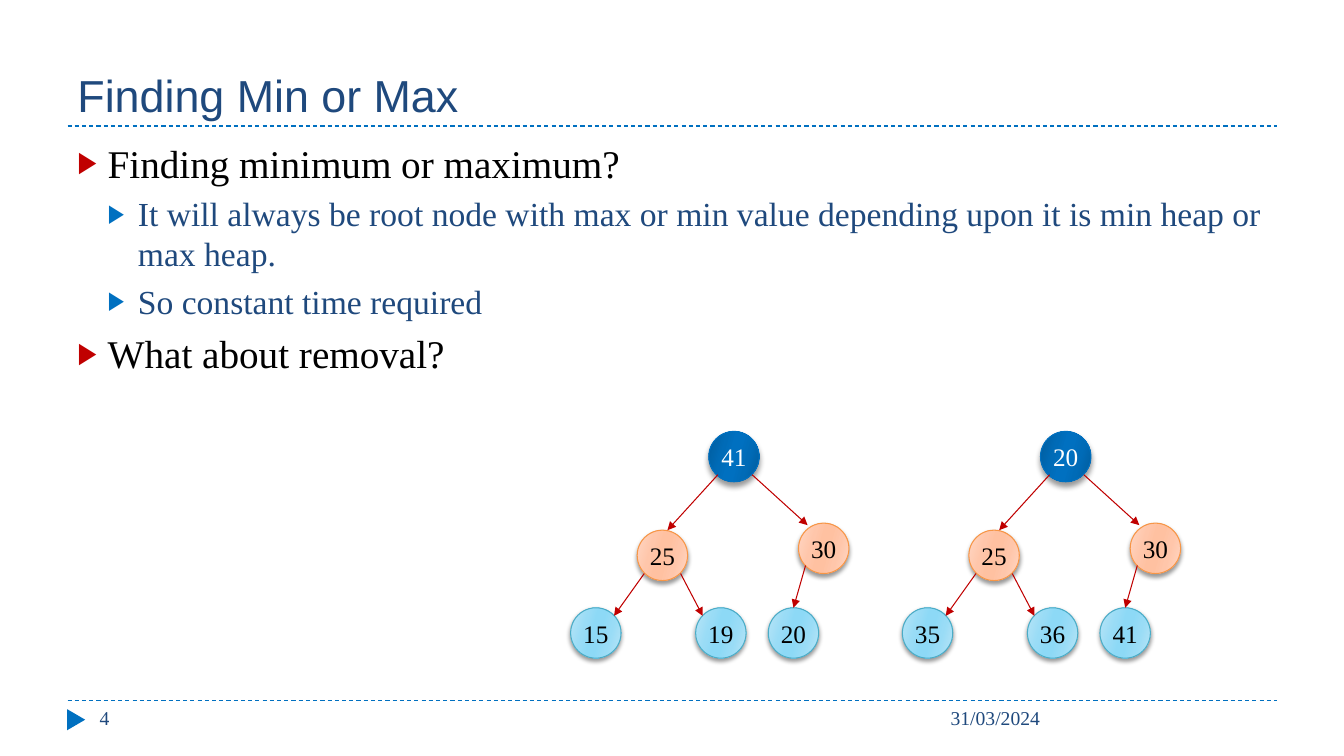
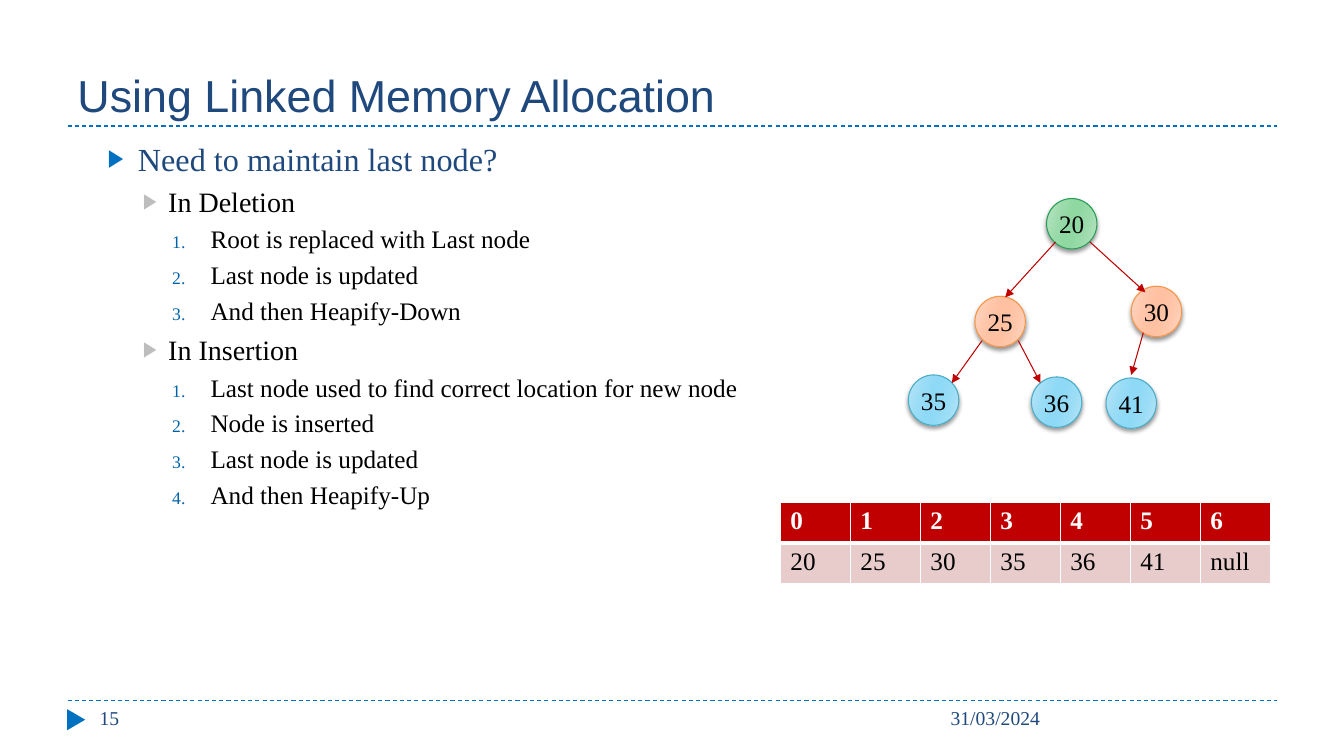
from lxml import etree
from pptx import Presentation
from pptx.dml.color import RGBColor
from pptx.enum.dml import MSO_LINE
from pptx.enum.shapes import MSO_CONNECTOR, MSO_SHAPE
from pptx.enum.text import MSO_ANCHOR, PP_ALIGN
from pptx.oxml.ns import qn
from pptx.util import Inches, Pt

STRAIGHT = MSO_CONNECTOR.STRAIGHT
ELLIPSE = MSO_SHAPE.OVAL
TRIANGLE = MSO_SHAPE.ISOSCELES_TRIANGLE
DASH = MSO_LINE.DASH
TOP, MIDDLE, BOTTOM = MSO_ANCHOR.TOP, MSO_ANCHOR.MIDDLE, MSO_ANCHOR.BOTTOM
LEFT, CENTER = PP_ALIGN.LEFT, PP_ALIGN.CENTER

COLORS = {
    "blue": "0070C0", "navy": "1F497D", "red": "C00000", "black": "000000",
    "white": "FFFFFF", "grey": "BDBDBD", "number": "0063A9", "pink": "E8CCCC",
    "orange line": "F79646", "cyan line": "4BACC6", "green line": "279D57",
}
HEADING_FONT = "Arial"
BODY_FONT = "Times New Roman"
NODE_SIZE = 0.5

NODE_STYLES = {
    "blue": (("005C9D", "006BB7", "0070C0"), "blue", "white", 4, 3.4),
    "green": (("BBE4C5", "9BDBAB", "8FD8A1"), "green line", "black", 3, 2),
    "orange": (("FFD7C5", "FFC6AA", "FFC1A1"), "orange line", "black", 3, 2),
    "cyan": (("B9E5F7", "99DCF6", "8DD9F6"), "cyan line", "black", 3, 2),
}

LEVELS = {
    "main": (0, 0.3, -0.3, 6, "▶", "red", 76, 28, "black"),
    "point": (1, 0.6, -0.3, 5, "▶", "blue", 76, 24, "navy"),
    "small point": (1, 0.6, -0.3, 5, "▶", "blue", 76, 23, "navy"),
    "topic": (2, 0.9, -0.25, 5, "▶", "grey", 76, 20, "black"),
    "step": (3, 1.32, -0.38, 4, None, "number", 70, 18, "black"),
}

EVEN_TREE = [(0, 0), (-0.71, 0.98), (0.89, 0.91),
             (-1.37, 1.75), (-0.13, 1.75), (0.59, 1.75)]
LOOSE_TREE = [(0, 0), (-0.71, 0.97), (0.84, 0.87),
              (-1.37, 1.75), (-0.15, 1.77), (0.59, 1.78)]
TREE_ARROWS = [
    ((0.09, 0.43), (-0.41, 0.98)),
    ((0.43, 0.43), (0.98, 0.93)),
    ((-0.64, 1.41), (-0.94, 1.83)),
    ((-0.28, 1.41), (-0.06, 1.83)),
    ((0.96, 1.33), (0.84, 1.75)),
]


def color(name):
    return RGBColor.from_string(COLORS[name])


def add_xml(parent, tag, **attributes):
    values = {key: str(value) for key, value in attributes.items()}
    return etree.SubElement(parent, qn(tag), values)


class SlideBuilder:
    def __init__(self):
        self.deck = Presentation()
        self.deck.slide_width = Inches(13.33)
        self.deck.slide_height = Inches(7.5)
        self.page = None

    def start_page(self, title, number):
        self.page = self.deck.slides.add_slide(self.deck.slide_layouts[6])
        for height in (6.95, 1.25):
            self.line((0.67, height), (12.67, height), "blue").line.dash_style = DASH
        marker = self.shape(TRIANGLE, 0.65, 7.05, 0.21, 0.18)
        marker.rotation = 90
        marker.fill.solid()
        marker.fill.fore_color.rgb = color("blue")
        marker.line.fill.background()
        self.text(title, (0.67, 0.17, 12, 1.08), 32, HEADING_FONT, BOTTOM)
        self.text("31/03/2024", (9.33, 6.95, 3.34, 0.4), 14)
        self.text(number, (0.89, 6.95, 2.89, 0.4), 14)

    def shape(self, kind, left, top, width, height):
        shape = self.page.shapes.add_shape(
            kind, Inches(left), Inches(top), Inches(width), Inches(height))
        shape.shadow.inherit = False
        return shape

    def line(self, start, end, line_color, arrow=False):
        points = [Inches(value) for value in (*start, *end)]
        connector = self.page.shapes.add_connector(STRAIGHT, *points)
        connector.line.color.rgb = color(line_color)
        connector.line.width = Pt(0.75)
        properties = connector._element.spPr
        if arrow:
            add_xml(properties.find(qn("a:ln")), "a:tailEnd", type="triangle")
        add_xml(properties, "a:effectLst")
        return connector

    def text_box(self, place, anchor=TOP):
        box = self.page.shapes.add_textbox(*[Inches(value) for value in place])
        box.text_frame.word_wrap = True
        box.text_frame.vertical_anchor = anchor
        return box.text_frame

    def set_text(self, para, text, size, text_color, font=BODY_FONT, bold=False):
        para.text = text
        para.font.name = font
        para.font.size = Pt(size)
        para.font.bold = bold
        para.font.color.rgb = color(text_color)

    def text(self, text, place, size, font=BODY_FONT, anchor=TOP):
        frame = self.text_box(place, anchor)
        self.set_text(frame.paragraphs[0], text, size, "navy", font)

    def body(self, items):
        frame = self.text_box((0.67, 1.33, 12, 5.4))
        for index, (kind, text) in enumerate(items):
            para = frame.add_paragraph() if index else frame.paragraphs[0]
            self.bullet(para, kind, text)

    def bullet(self, para, kind, text):
        level, margin, indent, space, mark, mark_color, percent, size, ink = LEVELS[kind]
        para.level = level
        para.alignment = LEFT
        para.space_before = Pt(space)
        properties = para._p.get_or_add_pPr()
        properties.set("marL", str(Inches(margin)))
        properties.set("indent", str(Inches(indent)))
        tint = add_xml(properties, "a:buClr")
        add_xml(tint, "a:srgbClr", val=COLORS[mark_color])
        add_xml(properties, "a:buSzPct", val=percent * 1000)
        add_xml(properties, "a:buFont", typeface=HEADING_FONT if mark else BODY_FONT)
        if mark:
            add_xml(properties, "a:buChar", char=mark)
        else:
            add_xml(properties, "a:buAutoNum", type="arabicPeriod")
        self.set_text(para, text, size, ink)

    def node(self, text, left, top, style):
        shades, outline, ink, blur, distance = NODE_STYLES[style]
        shape = self.shape(ELLIPSE, left, top, NODE_SIZE, NODE_SIZE)
        shape.fill.gradient()
        shape.fill.gradient_angle = 344
        properties = shape._element.spPr
        stops = properties.find(".//" + qn("a:gsLst"))
        for stop in list(stops):
            stops.remove(stop)
        for position, shade in zip((0, 30, 45, 55, 73, 100), shades + shades[::-1]):
            stop = add_xml(stops, "a:gs", pos=position * 1000)
            add_xml(stop, "a:srgbClr", val=shade)
        shape.line.color.rgb = color(outline)
        shape.line.width = Pt(0.75)
        shadow = add_xml(properties.find(qn("a:effectLst")), "a:outerShdw",
                         blurRad=Pt(blur), dist=Pt(distance), dir=90 * 60000,
                         rotWithShape=0)
        tint = add_xml(shadow, "a:srgbClr", val=COLORS["black"])
        add_xml(tint, "a:alpha", val=40000)
        frame = shape.text_frame
        frame.margin_left = frame.margin_right = 0
        frame.vertical_anchor = MIDDLE
        frame.paragraphs[0].alignment = CENTER
        self.set_text(frame.paragraphs[0], text, 18, ink)

    def tree(self, values, left, top, root_style, spots):
        styles = [root_style] + ["orange"] * 2 + ["cyan"] * 3
        for value, style, (across, down) in zip(values, styles, spots):
            self.node(value, left + across, top + down, style)
        for ends in TREE_ARROWS:
            start, end = [(left + across, top + down) for across, down in ends]
            self.line(start, end, "red", arrow=True)

    def table(self, rows, left, top, width, height):
        table = self.page.shapes.add_table(
            len(rows), len(rows[0]), Inches(left), Inches(top),
            Inches(width), Inches(height)).table
        table.horz_banding = False
        for row_index, values in enumerate(rows):
            header = row_index == 0
            for column_index, value in enumerate(values):
                cell = table.cell(row_index, column_index)
                self.borders(cell, 1 if header else 3, 3 if header else 1)
                cell.fill.solid()
                cell.fill.fore_color.rgb = color("red" if header else "pink")
                self.set_text(cell.text_frame.paragraphs[0], value, 18,
                              "white" if header else "black", bold=header)

    def borders(self, cell, top, bottom):
        properties = cell._tc.get_or_add_tcPr()
        for side, width in (("L", 1), ("R", 1), ("T", top), ("B", bottom)):
            border = add_xml(properties, "a:ln" + side, w=Pt(width))
            fill = add_xml(border, "a:solidFill")
            add_xml(fill, "a:srgbClr", val=COLORS["white"])


def main():
    builder = SlideBuilder()

    builder.start_page("Finding Min or Max", "4")
    builder.body([
        ("main", "Finding minimum or maximum?"),
        ("point", "It will always be root node with max or min value depending "
                  "upon it is min heap or max heap."),
        ("point", "So constant time required"),
        ("main", "What about removal?"),
    ])
    builder.tree(["41", "25", "30", "15", "19", "20"], 7.03, 4.28, "blue", EVEN_TREE)
    builder.tree(["20", "25", "30", "35", "36", "41"], 10.32, 4.28, "blue", EVEN_TREE)

    builder.start_page("Using Linked Memory Allocation", "15")
    builder.body([
        ("small point", "Need to maintain last node?"),
        ("topic", "In Deletion"),
        ("step", "Root is replaced with Last node"),
        ("step", "Last node is updated"),
        ("step", "And then Heapify-Down"),
        ("topic", "In Insertion"),
        ("step", "Last node used to find correct location for new node"),
        ("step", "Node is inserted"),
        ("step", "Last node is updated"),
        ("step", "And then Heapify-Up"),
    ])
    heap = ["20", "25", "30", "35", "36", "41"]
    builder.tree(heap, 10.38, 1.97, "green", LOOSE_TREE)
    positions = [str(position) for position in range(len(heap) + 1)]
    builder.table([positions, heap + ["null"]], 7.74, 4.98, 4.86, 0.81)

    builder.deck.save("out.pptx")


if __name__ == "__main__":
    main()
